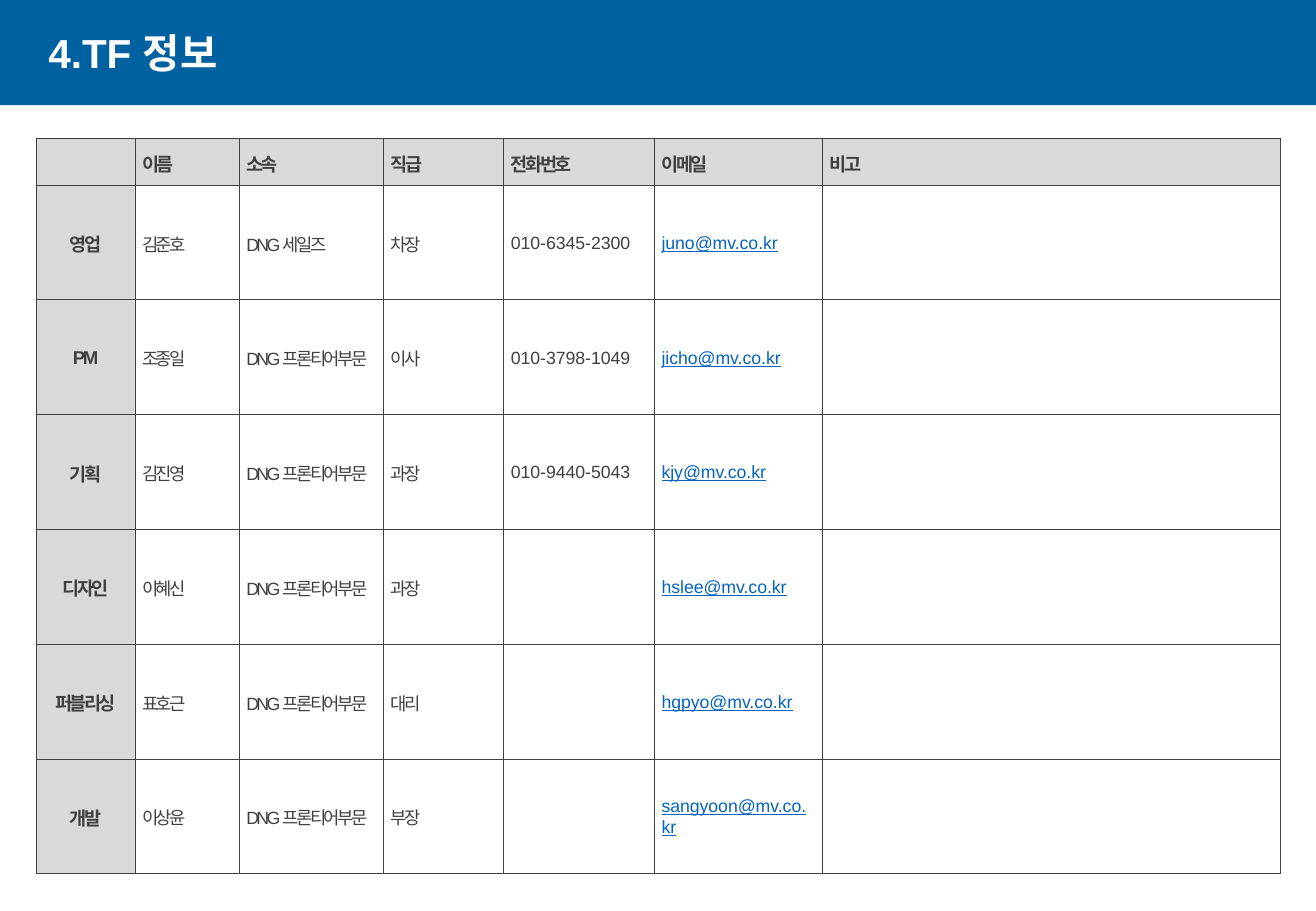
from dataclasses import dataclass

from lxml import etree
from pptx import Presentation
from pptx.dml.color import RGBColor
from pptx.enum.shapes import MSO_SHAPE
from pptx.enum.text import MSO_ANCHOR, PP_ALIGN
from pptx.oxml.ns import qn
from pptx.util import Cm, Pt

RECTANGLE = MSO_SHAPE.RECTANGLE
MIDDLE = MSO_ANCHOR.MIDDLE
LEFT, CENTER, JUSTIFY = PP_ALIGN.LEFT, PP_ALIGN.CENTER, PP_ALIGN.JUSTIFY


@dataclass(frozen=True)
class Theme:
    font: str = "Arial"
    band: str = "0061A0"
    title: str = "FFFFFF"
    text: str = "404040"
    link: str = "0563C1"
    header: str = "D9D9D9"
    body: str = "FFFFFF"
    title_size: float = 24
    header_size: float = 11
    body_size: float = 10.5
    tight: float = -1.5
    border: float = 0.5


THEME = Theme()

# Team table content
HEADERS = ["", "이름", "소속", "직급", "전화번호", "이메일", "비고"]
MEMBERS = [
    ["영업", "김준호", "DNG 세일즈", "차장", "010-6345-2300", "juno@mv.co.kr", ""],
    ["PM", "조종일", "DNG 프론티어부문", "이사", "010-3798-1049", "jicho@mv.co.kr", ""],
    ["기획", "김진영", "DNG 프론티어부문", "과장", "010-9440-5043", "kjy@mv.co.kr", ""],
    ["디자인", "이혜신", "DNG 프론티어부문", "과장", "", "hslee@mv.co.kr", ""],
    ["퍼블리싱", "표호근", "DNG 프론티어부문", "대리", "", "hgpyo@mv.co.kr", ""],
    ["개발", "이상윤", "DNG 프론티어부문", "부장", "", "sangyoon@mv.co.kr", ""],
]
COLUMN_WIDTHS = [2.06, 2.18, 3.02, 2.51, 3.15, 3.51, 9.58]
HEADER_HEIGHT, MEMBER_HEIGHT = 0.97, 2.4
PHONE, EMAIL = HEADERS.index("전화번호"), HEADERS.index("이메일")


def style_paragraph(para, size, color, bold=False, spacing=0):
    font = para.font
    font.name = THEME.font
    font.size = Pt(size)
    font.bold = bold
    font.color.rgb = RGBColor.from_string(color)
    font._element.set("spc", str(int(spacing * 100)))


def add_band(page, width, height):
    band = page.shapes.add_shape(RECTANGLE, 0, 0, width, height)
    band.shadow.inherit = False
    band.fill.solid()
    band.fill.fore_color.rgb = RGBColor.from_string(THEME.band)
    band.line.fill.background()


def add_title(page, text):
    box = page.shapes.add_textbox(Cm(0.76), Cm(0.58), Cm(23.72), Cm(1.14))
    frame = box.text_frame
    frame.word_wrap = True
    frame.vertical_anchor = MIDDLE
    para = frame.paragraphs[0]
    para.text = text
    para.line_spacing = 0.9
    style_paragraph(para, THEME.title_size, THEME.title, bold=True)


def set_borders(cell):
    properties = cell._tc.get_or_add_tcPr()
    for index, side in enumerate(("a:lnL", "a:lnR", "a:lnT", "a:lnB")):
        line = etree.Element(qn(side), w=str(Pt(THEME.border)))
        fill = etree.SubElement(line, qn("a:solidFill"))
        etree.SubElement(fill, qn("a:srgbClr"), val=THEME.text)
        properties.insert(index, line)


def fill_cell(cell, text, row, column):
    is_header = row == 0 or column == 0
    is_email = column == EMAIL and not is_header
    cell.margin_left = cell.margin_right = Cm(0.15)
    cell.margin_top = cell.margin_bottom = 0
    cell.vertical_anchor = MIDDLE
    cell.fill.solid()
    cell.fill.fore_color.rgb = RGBColor.from_string(
        THEME.header if is_header else THEME.body)
    set_borders(cell)

    para = cell.text_frame.paragraphs[0]
    para.text = text
    para.line_spacing = 1.07
    para.alignment = JUSTIFY if row == 0 else CENTER if column == 0 else LEFT
    style_paragraph(
        para,
        THEME.header_size if is_header else THEME.body_size,
        THEME.link if is_email else THEME.text,
        bold=is_header,
        spacing=THEME.tight if is_header or column < PHONE else 0,
    )
    para.font.underline = is_email


def add_team_table(page):
    rows = [HEADERS] + MEMBERS
    heights = [HEADER_HEIGHT] + [MEMBER_HEIGHT] * len(MEMBERS)
    table = page.shapes.add_table(
        len(rows), len(HEADERS), Cm(0.76), Cm(2.9),
        Cm(sum(COLUMN_WIDTHS)), Cm(sum(heights))).table
    table.first_row = table.horz_banding = False
    for column, width in zip(table.columns, COLUMN_WIDTHS):
        column.width = Cm(width)
    for row, height in zip(table.rows, heights):
        row.height = Cm(height)
    for row, texts in enumerate(rows):
        for column, text in enumerate(texts):
            fill_cell(table.cell(row, column), text, row, column)


def main():
    deck = Presentation()
    deck.slide_width, deck.slide_height = Cm(27.51), Cm(19.05)
    page = deck.slides.add_slide(deck.slide_layouts[6])

    # Title band
    add_band(page, deck.slide_width, Cm(2.2))
    add_title(page, "4.TF 정보")

    # Team members
    add_team_table(page)
    deck.save("out.pptx")


if __name__ == "__main__":
    main()
